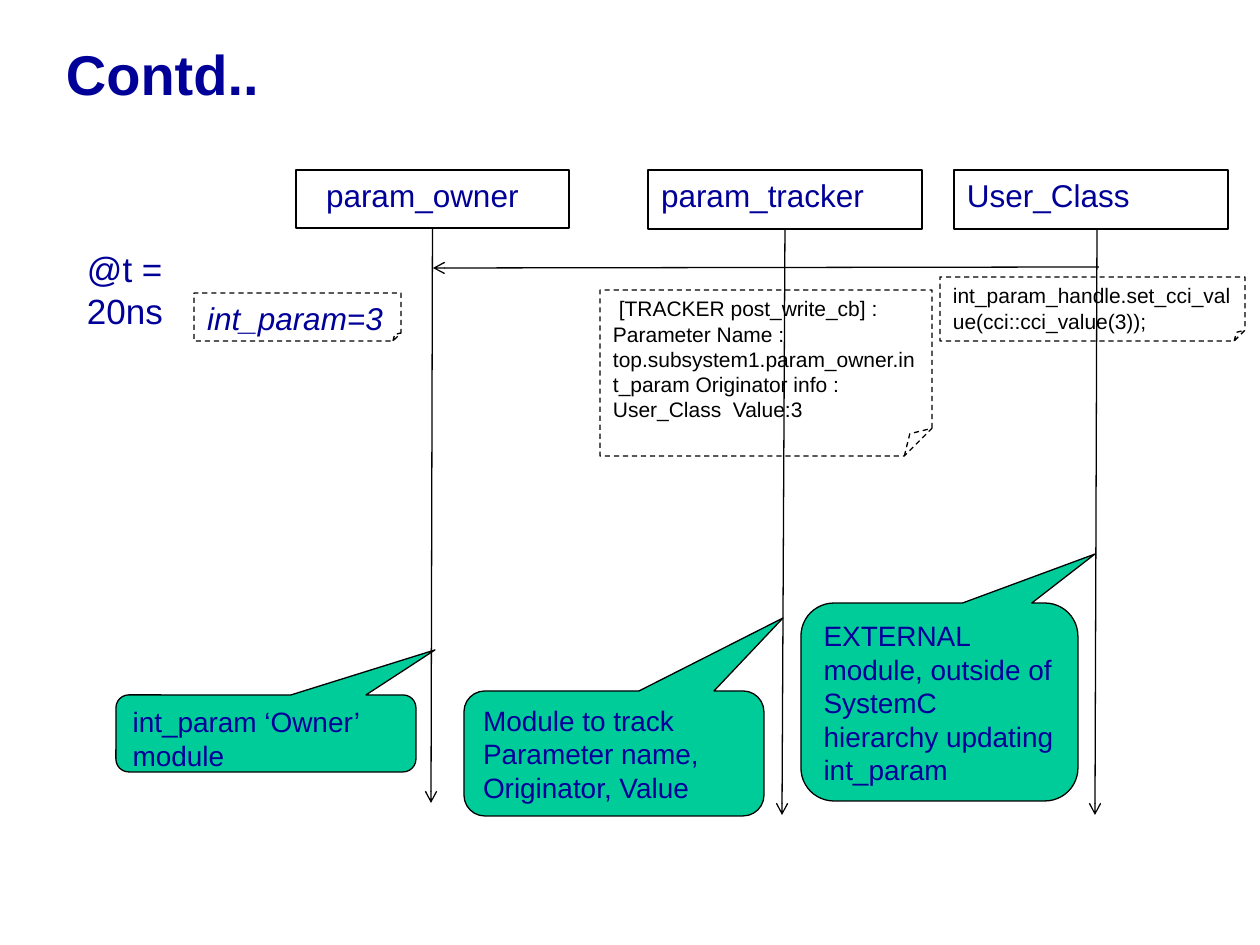
from lxml import etree
from pptx import Presentation
from pptx import util as u
from pptx.dml.color import RGBColor
from pptx.enum import dml, shapes, text
from pptx.oxml.ns import qn

PX = 914400 / 126
NAVY, BLACK, GREEN = "000099", "000000", "00CC99"
SHAPE = shapes.MSO_SHAPE


def px(n):
    return u.Emu(round(n * PX))


def rgb(value):
    return RGBColor.from_string(value)


class SequenceSlide:
    """Draws the elements of a sequence diagram on one slide."""

    def __init__(self, prs):
        self.s = prs.slides.add_slide(prs.slide_layouts[6])

    def fill_text(self, sp, words, size, color=NAVY, left=13, wrap=True, bold=False, italic=False):
        tf = sp.text_frame
        tf.word_wrap = wrap
        tf.vertical_anchor = text.MSO_ANCHOR.TOP
        tf.margin_left, tf.margin_right = px(left), px(13)
        tf.margin_top = tf.margin_bottom = px(6)
        p = tf.paragraphs[0]
        p.text = words
        p.alignment = text.PP_ALIGN.LEFT
        p.font.name, p.font.size = "Arial", u.Pt(size)
        p.font.bold, p.font.italic = bold, italic
        p.font.color.rgb = rgb(color)
        return tf

    def label(self, box, words, size, **style):
        sp = self.s.shapes.add_textbox(*map(px, box))
        return self.fill_text(sp, words, size, **style)

    def outline(self, kind, box, fill=None):
        sp = self.s.shapes.add_shape(kind, *map(px, box))
        sp.shadow.inherit = False
        if fill:
            sp.fill.solid()
            sp.fill.fore_color.rgb = rgb(fill)
        else:
            sp.fill.background()
        sp.line.color.rgb = rgb(BLACK)
        sp.line.width = u.Pt(0.75)
        return sp

    def participant(self, box, words, left=13):
        sp = self.outline(SHAPE.RECTANGLE, box)
        self.fill_text(sp, words, 18, left=left)
        return sp

    def note(self, box, words, size=12, color=BLACK, italic=False):
        sp = self.outline(SHAPE.FOLDED_CORNER, box)
        sp.line.dash_style = dml.MSO_LINE.DASH
        self.fill_text(sp, words, size, color, italic=italic)

    def callout(self, box, tip, words):
        sp = self.outline(SHAPE.ROUNDED_RECTANGULAR_CALLOUT, box, GREEN)
        x, y, w, h = box
        sp.adjustments[0] = (tip[0] - x) / w - 0.5
        sp.adjustments[1] = (tip[1] - y) / h - 0.5
        self.fill_text(sp, words, 16)

    def arrow(self, x1, y1, x2, y2, source=None):
        c = self.s.shapes.add_connector(shapes.MSO_CONNECTOR.STRAIGHT, *map(px, (x1, y1, x2, y2)))
        if source is not None:
            c.begin_connect(source, 2)
        c.line.color.rgb = rgb(BLACK)
        c.line.width = u.Pt(0.75)
        spPr = c._element.spPr
        etree.SubElement(spPr.find(qn("a:ln")), qn("a:tailEnd"), type="arrow")
        etree.SubElement(spPr, qn("a:effectLst"))


def main():
    prs = Presentation()
    prs.slide_width, prs.slide_height = px(1260), px(945)
    d = SequenceSlide(prs)

    title = d.label((53, 0, 1197, 157), "Contd..", 32, bold=True)
    title.vertical_anchor = text.MSO_ANCHOR.MIDDLE
    title.paragraphs[0].line_spacing = 0.85

    owner = d.participant((296, 170, 273, 58), "param_owner", left=30)
    tracker = d.participant((648, 170, 274, 59), "param_tracker")
    d.participant((954, 170, 274, 59), "User_Class")
    d.arrow(433, 228, 431, 803, owner)
    d.arrow(785, 229, 782, 815, tracker)
    d.arrow(1097, 229, 1095, 815)
    d.arrow(1099, 267, 433, 268)

    d.label((74, 241, 186, 55), "@t = 20ns", 20, wrap=False)
    d.note((194, 293, 207, 48), "int_param=3", 18, NAVY, italic=True)
    d.note((940, 277, 305, 64), "int_param_handle.set_cci_value(cci::cci_value(3));")
    d.note((600, 290, 332, 166), " [TRACKER post_write_cb] : Parameter Name : "
           "top.subsystem1.param_owner.int_param Originator info : User_Class  Value:3")

    d.callout((116, 695, 300, 77), (435, 650), "int_param ‘Owner’ module")
    d.callout((464, 691, 300, 125), (783, 618), "Module to track Parameter name, Originator, Value")
    d.callout((801, 603, 277, 198), (1095, 554),
              "EXTERNAL module, outside of SystemC hierarchy updating int_param")

    prs.save("out.pptx")


if __name__ == "__main__":
    main()
